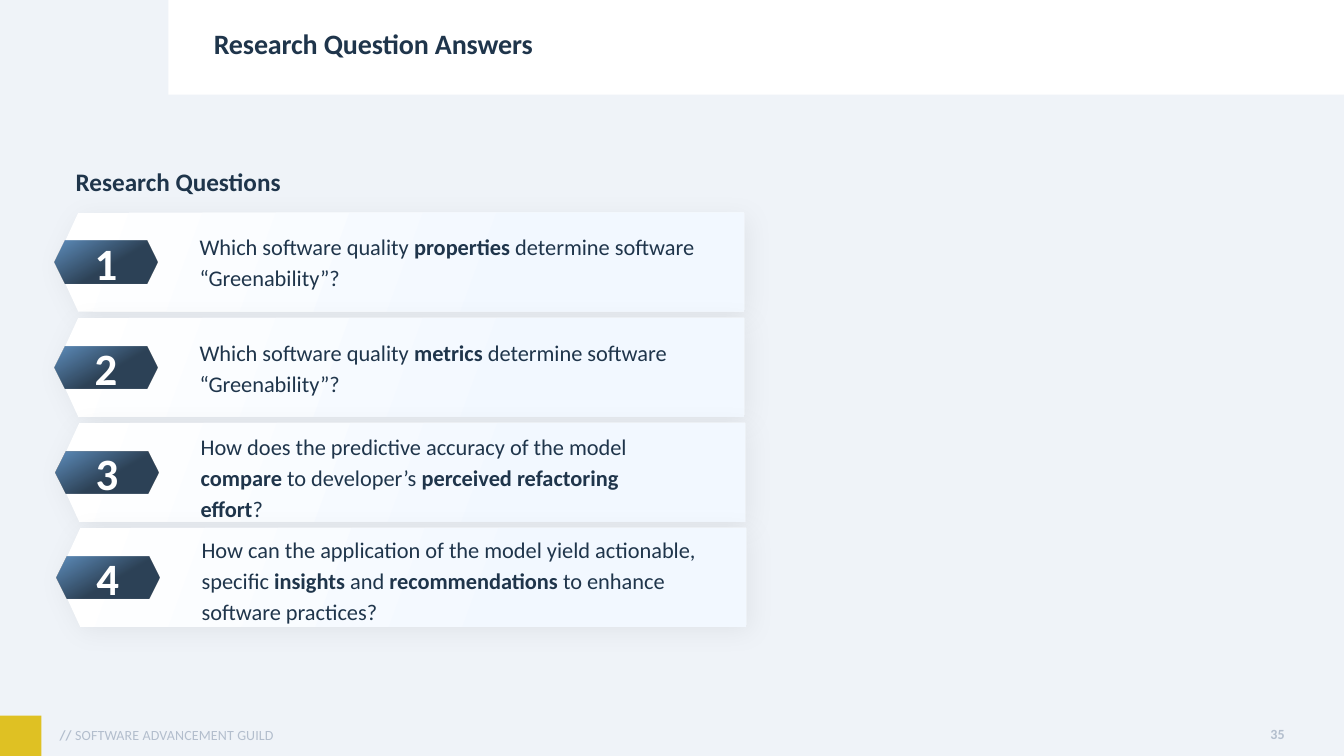
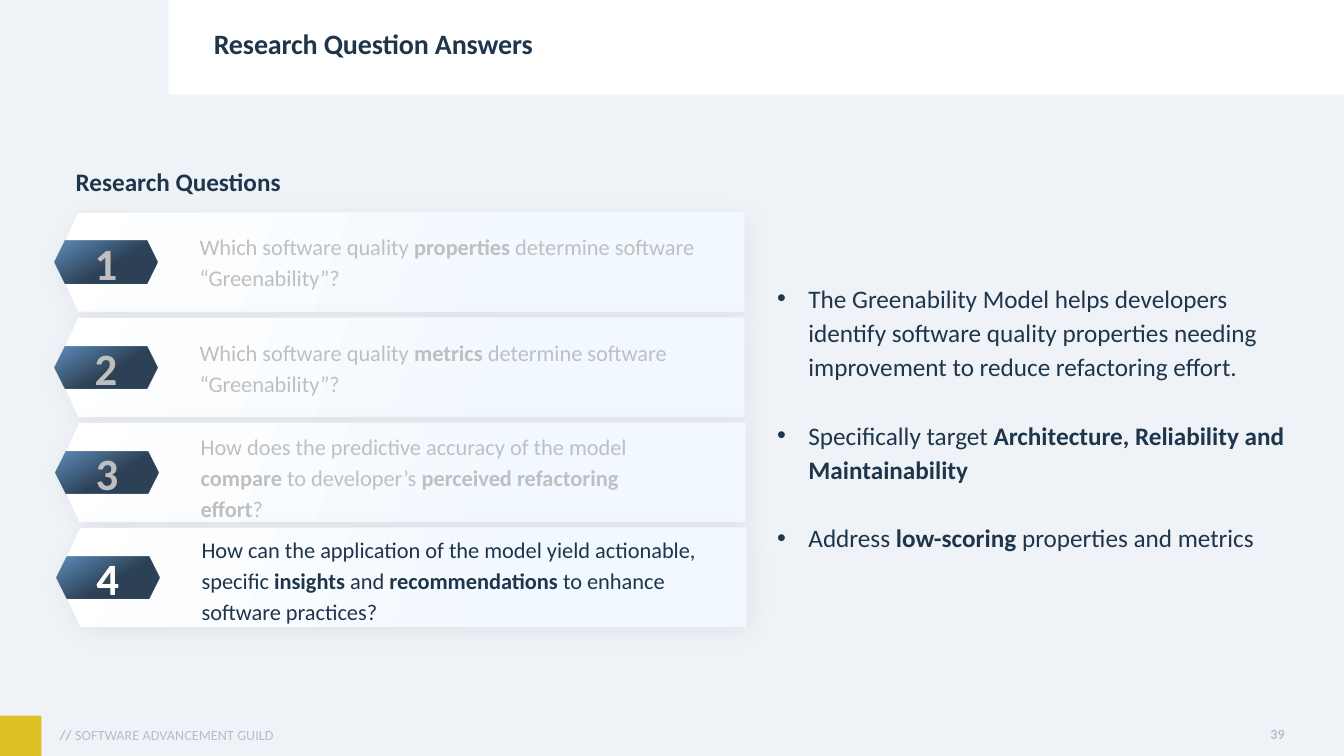
from lxml import etree
from pptx import Presentation
from pptx.dml.color import RGBColor
from pptx.enum.shapes import MSO_SHAPE
from pptx.enum.text import MSO_ANCHOR, MSO_AUTO_SIZE, PP_ALIGN
from pptx.oxml.ns import qn
from pptx.util import Inches, Pt

RECT, PLATE, HEXAGON = MSO_SHAPE.RECTANGLE, MSO_SHAPE.PENTAGON, MSO_SHAPE.HEXAGON
TOP, MIDDLE = MSO_ANCHOR.TOP, MSO_ANCHOR.MIDDLE
LEFT, CENTER, RIGHT = PP_ALIGN.LEFT, PP_ALIGN.CENTER, PP_ALIGN.RIGHT
FIXED = MSO_AUTO_SIZE.NONE

WIDTH, HEIGHT = 13.33, 7.5
FONT = "Calibri"
NAVY, WHITE, MUTED = "1F354B", "FFFFFF", "BFBFBF"
PAGE, YELLOW, FOOTER_GREY = "EFF3F8", "DFC123", "B3BECD"
PLATE_STOPS = ((0, WHITE), (0.71, "F2F8FF"))
BADGE_STOPS = ((0, "5386B8"), (0.56, NAVY))
TITLE_ONLY = 5
BAND_LEFT, BAND_HEIGHT, CORNER = 1.67, 0.94, 0.41

QUESTIONS_BOX = (0.55, 2.11, 6.83, 4.11)  # left, top, width, height
ROW_GAP = 0.06

# Each question: runs (bold ones in a 1-tuple), left shift, text top, text width
QUESTIONS = [
    (["Which software quality ", ("properties",),
      " determine software “Greenability”?"], 0, 0.12, 5),
    (["Which software quality ", ("metrics",),
      " determine software “Greenability”?"], 0, 0.13, 5),
    (["How does the predictive accuracy of the model ", ("compare",),
      " to developer’s ", ("perceived refactoring effort",), "?"], 0.01, 0.02, 4.78),
    (["How can the application of the model yield actionable, specific ",
      ("insights",), " and ", ("recommendations",),
      " to enhance software practices?"], 0.02, 0, 5),
]
ANSWERS = [
    ["The Greenability Model helps developers identify software quality "
     "properties needing improvement to reduce refactoring effort."],
    ["Specifically target", (" Architecture, Reliability and Maintainability",)],
    ["Address ", ("low-scoring",), " properties and metrics"],
]


def rgb(hex_colour):
    return RGBColor.from_string(hex_colour)


def inches(box):
    return [Inches(length) for length in box]


def add_runs(paragraph, runs, size, colour, tracking=0):
    """Add runs one by one; a run in a tuple is bold."""
    for part in runs:
        bold = isinstance(part, tuple)
        run = paragraph.add_run()
        run.text = part[0] if bold else part
        run.font.name, run.font.size, run.font.bold = FONT, Pt(size), bold
        run.font.color.rgb = rgb(colour)
        if tracking:
            run.font._element.set("spc", str(tracking))


def set_frame(frame, insets, anchor=TOP, wrap=True):
    frame.word_wrap, frame.auto_size = wrap, FIXED
    frame.vertical_anchor = anchor
    (frame.margin_left, frame.margin_top,
     frame.margin_right, frame.margin_bottom) = inches(insets)


def add_text(shapes, box, runs, size, colour, insets=(0, 0.05, 0, 0.05),
             anchor=TOP, align=LEFT, spacing=1.0, wrap=True, tracking=0):
    frame = shapes.add_textbox(*inches(box)).text_frame
    set_frame(frame, insets, anchor, wrap)
    paragraph = frame.paragraphs[0]
    paragraph.alignment, paragraph.line_spacing = align, spacing
    add_runs(paragraph, runs, size, colour, tracking)


def add_block(shapes, kind, box):
    block = shapes.add_shape(kind, *inches(box))
    block.shadow.inherit = False
    block.line.fill.background()
    return block


def fill_gradient(shape, stops, angle, opacity=100):
    """Fill with two colours; the angle runs counter-clockwise."""
    shape.fill.gradient()
    shape.fill.gradient_angle = angle
    for stop, (position, colour) in zip(shape.fill.gradient_stops, stops):
        stop.position, stop.color.rgb = position, rgb(colour)
    if opacity < 100:
        for colour in shape._element.spPr.iter(qn("a:srgbClr")):
            etree.SubElement(colour, qn("a:alpha"), val=str(opacity * 1000))


def add_soft_shadow(shape):
    effects = shape._element.spPr.find(qn("a:effectLst"))
    shadow = etree.SubElement(
        effects, qn("a:outerShdw"), blurRad=str(Pt(19.2)), dist=str(Pt(4)),
        dir=str(45 * 60000), algn="tl", rotWithShape="0")
    black = etree.SubElement(shadow, qn("a:srgbClr"), val="000000")
    etree.SubElement(black, qn("a:alpha"), val="6000")


def add_frame(slide, title, number):
    """Title band, corner mark, footer and slide number."""
    shapes = slide.shapes
    bands = [((BAND_LEFT, 0, WIDTH - BAND_LEFT, BAND_HEIGHT), WHITE),
             ((0, HEIGHT - CORNER + 0.01, CORNER, CORNER), YELLOW)]
    for box, colour in bands:
        band = add_block(shapes, RECT, box)
        band.fill.solid()
        band.fill.fore_color.rgb = rgb(colour)

    footer = dict(size=10, colour=FOOTER_GREY, insets=(0, 0.04, 0.1, 0.05),
                  anchor=MIDDLE, tracking=10)
    add_text(shapes, (0.59, 7.09, 5.29, CORNER),
             [("//",), " SOFTWARE ADVANCEMENT GUILD"], **footer)
    add_text(shapes, (12.35, 7.16, 0.49, 0.26), [(number,)], align=RIGHT, **footer)

    # Bring the title in front of its band
    heading = shapes.title
    shapes._spTree.append(heading._element)
    heading.left, heading.top, heading.width, heading.height = inches(
        (2.12, 0.3, 10.73, 0.31))
    set_frame(heading.text_frame, (0, 0, 0, 0))
    paragraph = heading.text_frame.paragraphs[0]
    paragraph.alignment, paragraph.line_spacing = LEFT, 0.9
    add_runs(paragraph, [(title,)], 20, NAVY, -10)


def add_question(slide, box, number, question, active):
    """One question row: plate, numbered badge and text."""
    left, top, width, height = box
    runs, shift, text_top, text_width = question
    left += shift
    row = slide.shapes.add_group_shape().shapes

    plate = add_block(row, PLATE, (left, top, width, height))
    plate.rotation = 180
    plate.adjustments[0] = 0.23
    fill_gradient(plate, PLATE_STOPS, 160)
    add_soft_shadow(plate)

    badge_height = 0.42
    badge = add_block(row, HEXAGON, (left - 0.01, top + (height - badge_height) / 2,
                                     1.02, badge_height))
    fill_gradient(badge, BADGE_STOPS, 300, opacity=93)
    set_frame(badge.text_frame, (0.12, 0.08, 0.12, 0.08), MIDDLE)
    digit = badge.text_frame.paragraphs[0]
    digit.alignment = CENTER
    add_runs(digit, [(str(number),)], 32, WHITE if active else MUTED)

    add_text(row, (left + 1.43, top + text_top, text_width, 0.8), runs, 16,
             NAVY if active else MUTED, spacing=1.14)


def add_questions(slide, box, active):
    """Heading and the stack of questions; those not active are greyed."""
    left, top, width, height = box
    add_text(slide.shapes, (left + 0.2, top - 0.55, width - 0.2, 0.45),
             [("Research Questions",)], 18, NAVY, spacing=1.14)
    pitch = (height + ROW_GAP) / len(QUESTIONS)
    for index, question in enumerate(QUESTIONS):
        row_box = (left, top + index * pitch, width, pitch - ROW_GAP)
        add_question(slide, row_box, index + 1, question, index + 1 in active)


def add_answers(slide, box, answers):
    """Bulleted findings beside the questions."""
    frame = slide.shapes.add_textbox(*inches(box)).text_frame
    set_frame(frame, (0.1, 0.05, 0.1, 0.05))
    for index, runs in enumerate(answers):
        paragraph = frame.add_paragraph() if index else frame.paragraphs[0]
        properties = paragraph._p.get_or_add_pPr()
        properties.set("marL", str(Inches(0.31)))
        properties.set("indent", str(-Inches(0.31)))
        etree.SubElement(properties, qn("a:buFont"), typeface="Arial")
        etree.SubElement(properties, qn("a:buChar"), char="•")
        paragraph.line_spacing = 1.13
        if index:
            paragraph.space_before = Pt(24.5)
        add_runs(paragraph, runs, 18, NAVY)


def add_question_slide(prs, number, active, answers=()):
    slide = prs.slides.add_slide(prs.slide_layouts[TITLE_ONLY])
    add_frame(slide, "Research Question Answers", number)
    add_questions(slide, QUESTIONS_BOX, active)
    if answers:
        add_answers(slide, (7.61, 2.72, 5.28, 2.82), answers)


def main():
    prs = Presentation()
    prs.slide_width, prs.slide_height = inches((WIDTH, HEIGHT))
    page = prs.slide_master.background.fill
    page.solid()
    page.fore_color.rgb = rgb(PAGE)

    add_question_slide(prs, "35", active={1, 2, 3, 4})
    add_question_slide(prs, "39", active={4}, answers=ANSWERS)
    prs.save("out.pptx")


if __name__ == "__main__":
    main()
